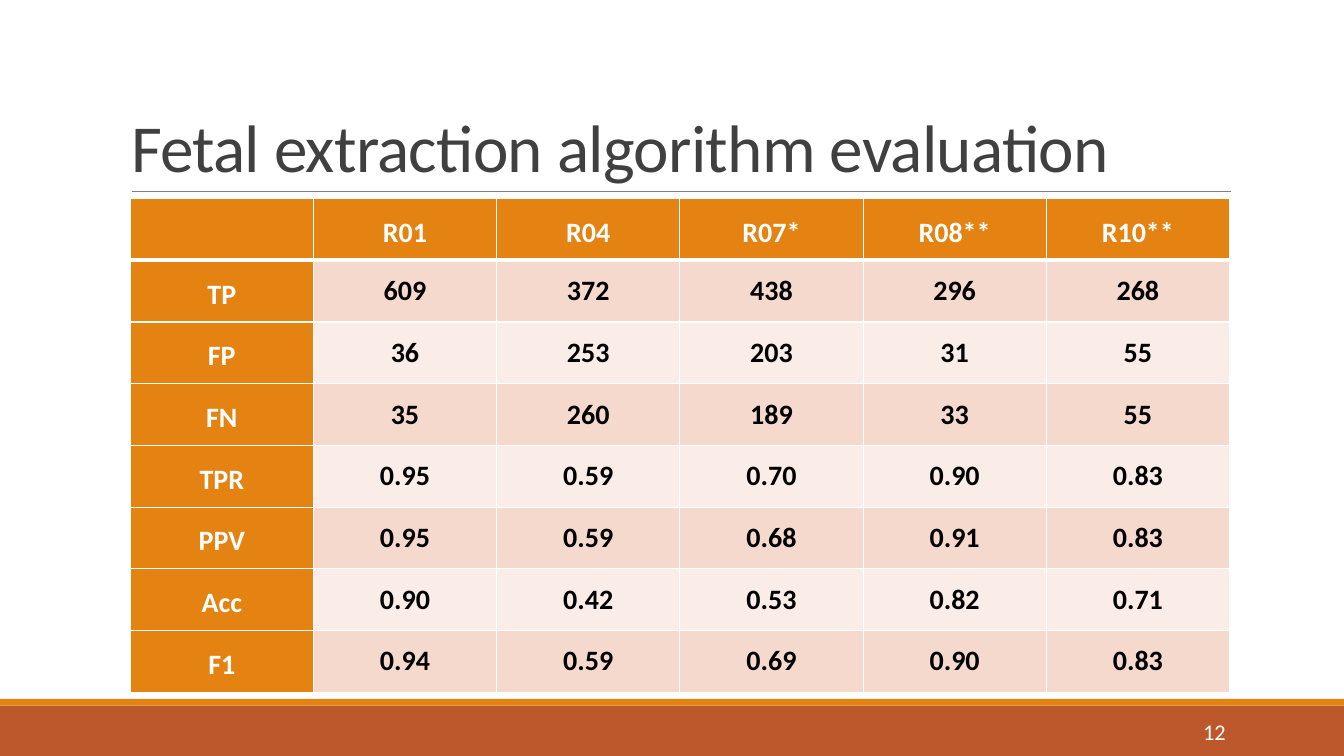
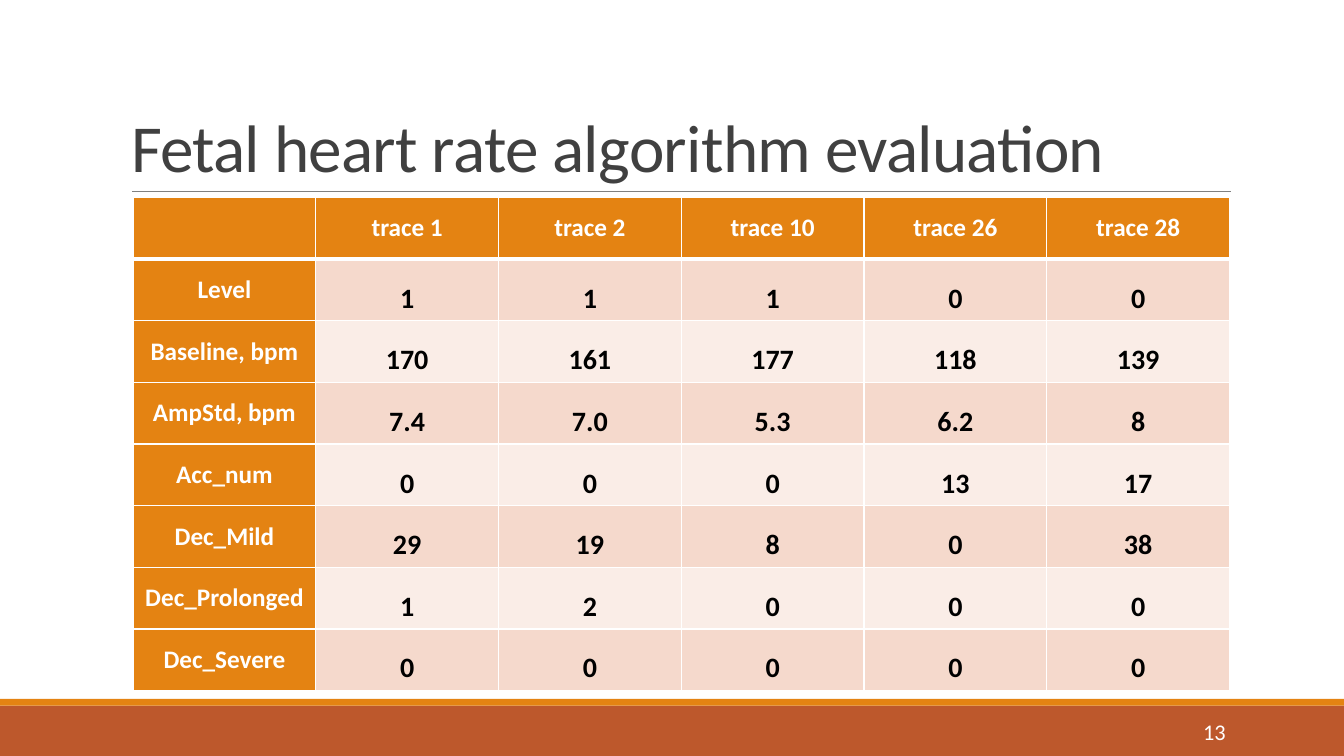
from lxml.etree import SubElement
from pptx import Presentation
from pptx.dml.color import RGBColor
from pptx.enum.shapes import MSO_CONNECTOR as Connector, MSO_SHAPE as Preset
from pptx.enum.text import MSO_ANCHOR as Anchor, MSO_AUTO_SIZE as AutoSize, PP_ALIGN as Align
from pptx.oxml import parse_xml
from pptx.oxml.ns import nsdecls, qn
from pptx.util import Inches, Pt

COLORS = {"band": "BD582C", "accent": "E48312", "rule": "808080", "title": "404040",
          "odd": "F5D9CC", "even": "FAEDE7", "white": "FFFFFF", "black": "000000"}
FONT = "Calibri"
GRID_COLUMNS, GRID_ROWS = 160, 90
CELL = Inches(7.5) / GRID_ROWS

FOOTER_BOX = (0, 83.2, GRID_COLUMNS, 6.8)
TITLE_BOX = (14.4, 3.7, 132, 19.1)

EXTRACTION = {
    "title": "Fetal extraction algorithm evaluation",
    "page": "12",
    "box": (15.5, 23.64, 130.9, 58.8),
    "inset": 0.07,
    "header": {"size": 20, "spacing": 1.5, "anchor": Anchor.TOP},
    "value": {"size": 20, "spacing": 1, "anchor": Anchor.MIDDLE},
    "rows": [
        ["", "R01", "R04", "R07*", "R08**", "R10**"],
        ["TP", "609", "372", "438", "296", "268"],
        ["FP", "36", "253", "203", "31", "55"],
        ["FN", "35", "260", "189", "33", "55"],
        ["TPR", "0.95", "0.59", "0.70", "0.90", "0.83"],
        ["PPV", "0.95", "0.59", "0.68", "0.91", "0.83"],
        ["Acc", "0.90", "0.42", "0.53", "0.82", "0.71"],
        ["F1", "0.94", "0.59", "0.69", "0.90", "0.83"],
    ],
}
HEART_RATE = {
    "title": "Fetal heart rate algorithm evaluation",
    "page": "13",
    "box": (15.84, 23.52, 130.56, 58.7),
    "inset": 0.06,
    "header": {"size": 18, "spacing": 1, "anchor": Anchor.MIDDLE},
    "value": {"size": 20, "spacing": 1.5, "anchor": Anchor.MIDDLE},
    "rows": [
        ["", "trace 1", "trace 2", "trace 10", "trace 26", "trace 28"],
        ["Level", "1", "1", "1", "0", "0"],
        ["Baseline, bpm", "170", "161", "177", "118", "139"],
        ["AmpStd, bpm", "7.4", "7.0", "5.3", "6.2", "8"],
        ["Acc_num", "0", "0", "0", "13", "17"],
        ["Dec_Mild", "29", "19", "8", "0", "38"],
        ["Dec_Prolonged", "1", "2", "0", "0", "0"],
        ["Dec_Severe", "0", "0", "0", "0", "0"],
    ],
}


def color(name):
    """Return the named palette colour."""
    return RGBColor.from_string(COLORS[name])


def grid(*cells):
    """Turn grid cells into slide lengths."""
    return [round(cell * CELL) for cell in cells]


def style(paragraph, size, ink, align, spacing=1, bold=False):
    """Format a whole paragraph."""
    paragraph.alignment, paragraph.line_spacing = align, spacing
    font = paragraph.font
    font.name, font.size, font.bold = FONT, Pt(size), bold
    font.color.rgb = color(ink)


def add_band(slide, box, fill):
    """Draw a plain filled band."""
    band = slide.shapes.add_shape(Preset.RECTANGLE, *grid(*box))
    band.shadow.inherit = False
    band.fill.solid()
    band.fill.fore_color.rgb = color(fill)
    band.line.fill.background()


def add_footer(slide, box, page):
    """Draw the two footer bands and the page number."""
    left, top, width, height = box
    stripe = 0.8
    add_band(slide, (left, top + stripe, width, height - stripe), "band")
    add_band(slide, (left, top, width, stripe), "accent")
    number = slide.shapes.add_textbox(
        *grid(left + width - 30, top + 1.5, 17.1, 4.8)).text_frame
    number.word_wrap, number.vertical_anchor = True, Anchor.MIDDLE
    number.text = page
    style(number.paragraphs[0], 16, "white", Align.RIGHT)


def add_title(slide, box, words):
    """Place the title and the rule under it."""
    left, top, width, height = box
    title = slide.shapes.title
    title.left, title.top, title.width, title.height = grid(*box)
    frame = title.text_frame
    frame.text = words
    frame.word_wrap, frame.auto_size = True, AutoSize.NONE
    frame.vertical_anchor = Anchor.BOTTOM
    heading = frame.paragraphs[0]
    style(heading, 48, "title", Align.LEFT, 0.85)
    heading.runs[0].font._element.set("spc", "-50")
    bottom = top + height
    rule = slide.shapes.add_connector(
        Connector.STRAIGHT, *grid(left + 1.3, bottom, left + width + 0.1, bottom))
    rule.line.color.rgb, rule.line.width = color("rule"), Pt(0.5)
    SubElement(rule._element.spPr, qn("a:effectLst"))


def add_borders(cell, top, bottom):
    """Give a cell white borders."""
    widths = {"L": 1, "R": 1, "T": top, "B": bottom}
    for place, (side, width) in enumerate(widths.items()):
        cell._tc.get_or_add_tcPr().insert(place, parse_xml(
            f'<a:ln{side} {nsdecls("a")} w="{Pt(width)}"><a:solidFill>'
            f'<a:srgbClr val="{COLORS["white"]}"/></a:solidFill></a:ln{side}>'))


def add_results(slide, box, content):
    """Fill a table with a header row and a header column."""
    rows = content["rows"]
    table = slide.shapes.add_table(len(rows), len(rows[0]), *grid(*box)).table
    table.first_col = True
    for r, row in enumerate(rows):
        for c, words in enumerate(row):
            cell = table.cell(r, c)
            is_header = r == 0 or c == 0
            look = content["header" if is_header else "value"]
            cell.text = words
            cell.margin_left = cell.margin_right = Inches(content["inset"])
            cell.margin_top = cell.margin_bottom = 0
            cell.vertical_anchor = look["anchor"]
            style(cell.text_frame.paragraphs[0], look["size"],
                  "white" if is_header else "black", Align.CENTER, look["spacing"], True)
            cell.fill.solid()
            cell.fill.fore_color.rgb = color(
                "accent" if is_header else "odd" if r % 2 else "even")
            add_borders(cell, 3 if r == 1 else 1, 3 if r == 0 else 1)


def add_evaluation(deck, content):
    """Add one evaluation slide."""
    slide = deck.slides.add_slide(deck.slide_layouts[5])
    add_footer(slide, FOOTER_BOX, content["page"])
    add_title(slide, TITLE_BOX, content["title"])
    add_results(slide, content["box"], content)


def main():
    """Build and save the deck."""
    deck = Presentation()
    deck.slide_width, deck.slide_height = grid(GRID_COLUMNS, GRID_ROWS)
    for content in (EXTRACTION, HEART_RATE):
        add_evaluation(deck, content)
    deck.save("out.pptx")


if __name__ == "__main__":
    main()
